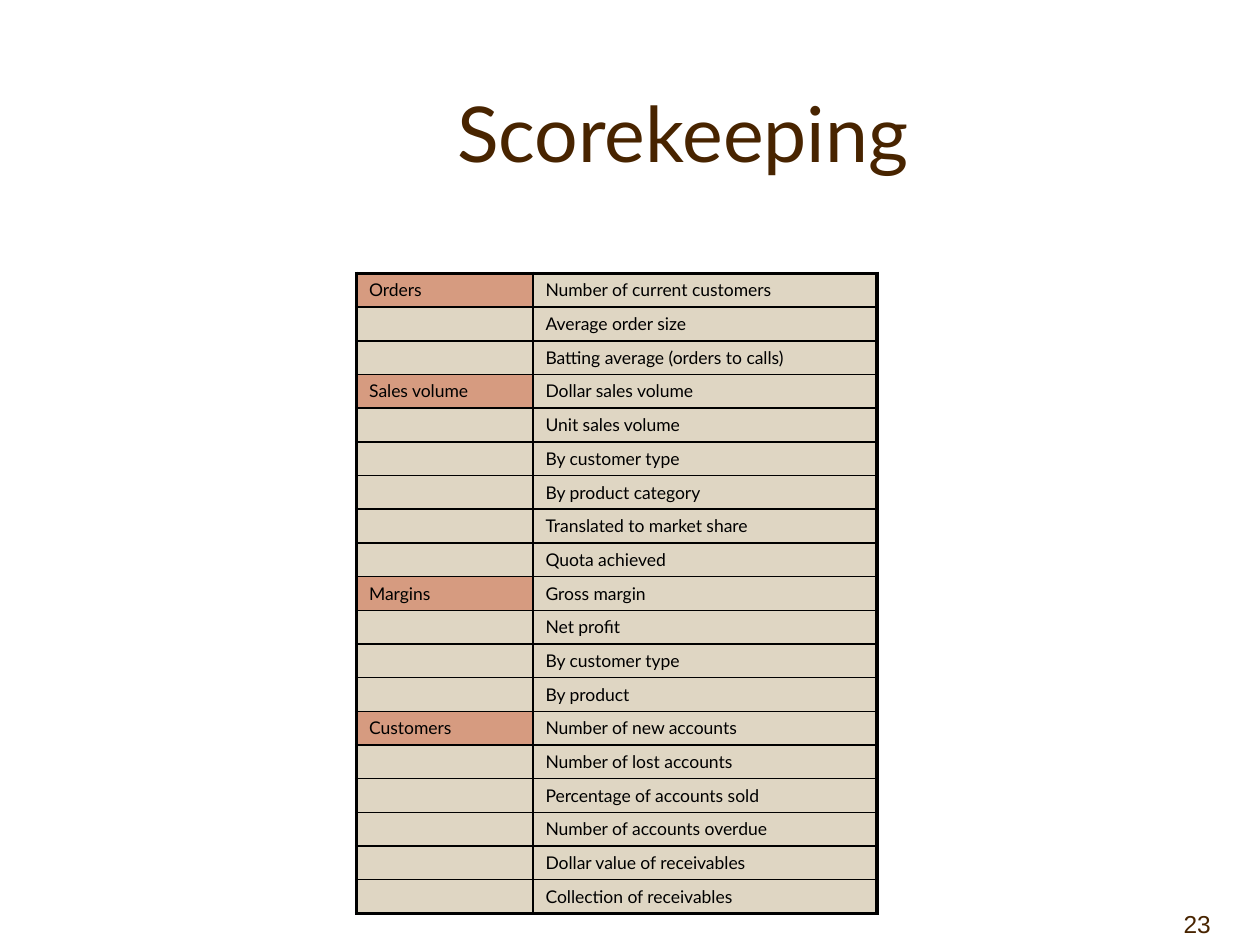
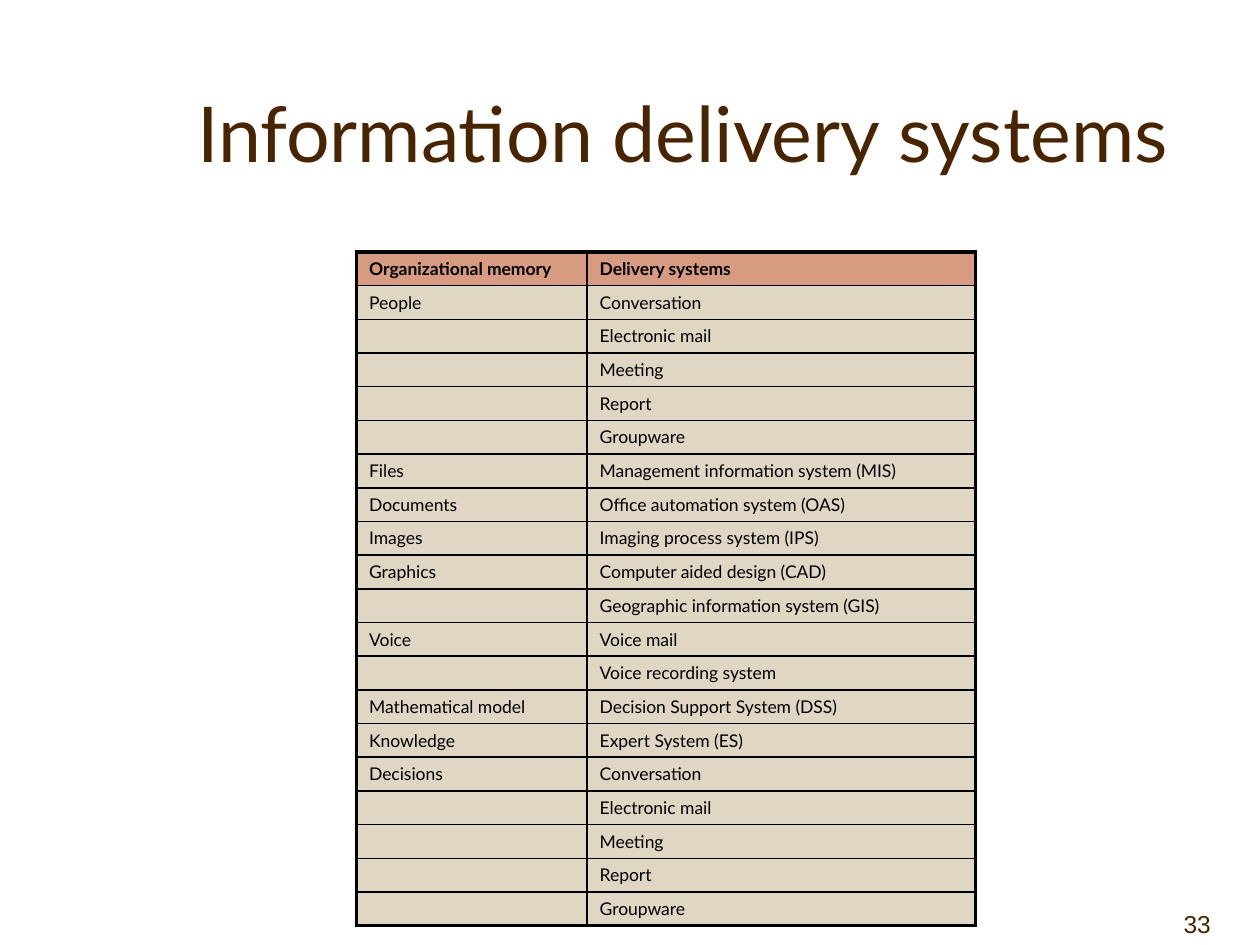
from lxml.etree import SubElement
from pptx import Presentation
from pptx.dml.color import RGBColor
from pptx.enum.text import MSO_ANCHOR as Anchor, PP_ALIGN as Align
from pptx.oxml.ns import qn
from pptx.util import Inches, Pt

BROWN = RGBColor(0x48, 0x24, 0x00)
BLACK = RGBColor(0x00, 0x00, 0x00)
CLAY = RGBColor(0xD6, 0x9B, 0x80)
SAND = RGBColor(0xDF, 0xD6, 0xC3)

FONT, NUMBER_FONT = "Lato", "Arial"
ROW_H = 4 / 15
TABLE_LEFT = 2.83
THICK, THIN = 2.25, 1

CONTACTS = ["Conversation", "Electronic mail", "Meeting", "Report", "Groupware"]

SLIDES = [
    {
        "title": "Scorekeeping",
        "number": 23,
        "top": 2.17,
        "cols": (1.4, 2.73),
        "header": None,
        "groups": [
            ("Orders", ["Number of current customers", "Average order size",
                        "Batting average (orders to calls)"]),
            ("Sales volume", ["Dollar sales volume", "Unit sales volume",
                              "By customer type", "By product category",
                              "Translated to market share", "Quota achieved"]),
            ("Margins", ["Gross margin", "Net profit", "By customer type",
                         "By product"]),
            ("Customers", ["Number of new accounts", "Number of lost accounts",
                           "Percentage of accounts sold",
                           "Number of accounts overdue",
                           "Dollar value of receivables",
                           "Collection of receivables"]),
        ],
    },
    {
        "title": "Information delivery systems",
        "number": 33,
        "top": 2,
        "cols": (1.83, 3.08),
        "header": ("Organizational memory", "Delivery systems"),
        "groups": [
            ("People", CONTACTS),
            ("Files", ["Management information system (MIS)"]),
            ("Documents", ["Office automation system (OAS)"]),
            ("Images", ["Imaging process system (IPS)"]),
            ("Graphics", ["Computer aided design (CAD)",
                          "Geographic information system (GIS)"]),
            ("Voice", ["Voice mail", "Voice recording system"]),
            ("Mathematical model", ["Decision Support System (DSS)"]),
            ("Knowledge", ["Expert System (ES)"]),
            ("Decisions", CONTACTS),
        ],
    },
]


def style(p, name, size, color, bold=False):
    p.font.name = name
    p.font.size = Pt(size)
    p.font.color.rgb = color
    p.font.bold = bold


def add_text(s, text, box, name, size, align, anchor, right_inset=0.1):
    tf = s.shapes.add_textbox(*map(Inches, box)).text_frame
    tf.word_wrap = True
    tf.vertical_anchor = anchor
    tf.margin_right = Inches(right_inset)
    p = tf.paragraphs[0]
    p.text = text
    p.alignment = align
    style(p, name, size, BROWN)


def add_border(cell, side, width):
    ln = SubElement(cell._tc.get_or_add_tcPr(), qn(f"a:ln{side}"), w=str(Pt(width)))
    fill = SubElement(ln, qn("a:solidFill"))
    SubElement(fill, qn("a:srgbClr"), val=str(BLACK))


def fill_cell(cell, text, fill, bold, outer_sides):
    for side in "LRTB":
        add_border(cell, side, THICK if side in outer_sides else THIN)
    cell.fill.solid()
    cell.fill.fore_color.rgb = fill
    p = cell.text_frame.paragraphs[0]
    if text:
        p.text = text
    else:
        SubElement(p._p, qn("a:endParaRPr"), sz="1000")
    style(p, FONT, 10, BLACK, bold)


def add_grid(s, top, cols, header, groups):
    rows = [(label if i == 0 else "", item)
            for label, items in groups for i, item in enumerate(items)]
    if header:
        rows.insert(0, header)
    box = (TABLE_LEFT, top, sum(cols), ROW_H * len(rows))
    table = s.shapes.add_table(len(rows), len(cols), *map(Inches, box)).table
    table.first_row = table.horz_banding = False
    for column, width in zip(table.columns, cols):
        column.width = Inches(width)
    for r, row in enumerate(rows):
        table.rows[r].height = Inches(ROW_H)
        for c, text in enumerate(row):
            outer = "LR"[c] + "T" * (r == 0) + "B" * (r == len(rows) - 1)
            is_header = bool(header) and r == 0
            is_label = not header and c == 0 and text
            fill = CLAY if is_header or is_label else SAND
            fill_cell(table.cell(r, c), text, fill, is_header, outer)


def main():
    prs = Presentation()
    prs.slide_width, prs.slide_height = Inches(10), Inches(7.5)
    for data in SLIDES:
        s = prs.slides.add_slide(prs.slide_layouts[6])
        add_text(s, data["title"], (1.17, 0.42, 8.5, 1.25), FONT, 44,
                 Align.CENTER, Anchor.MIDDLE)
        add_text(s, str(data["number"]), (9, 7, 1, 0.5), NUMBER_FONT, 14,
                 Align.RIGHT, Anchor.BOTTOM, right_inset=0.39)
        add_grid(s, data["top"], data["cols"], data["header"], data["groups"])
    prs.save("out.pptx")


if __name__ == "__main__":
    main()
